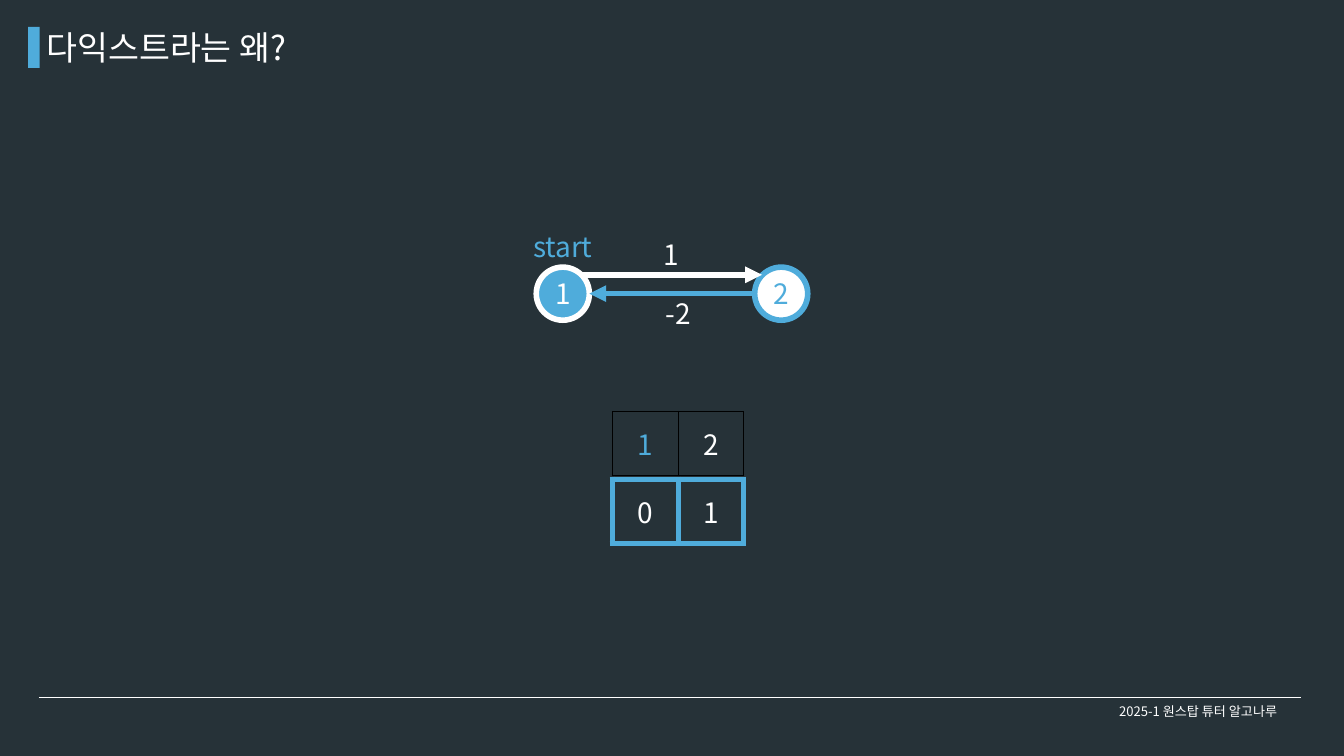
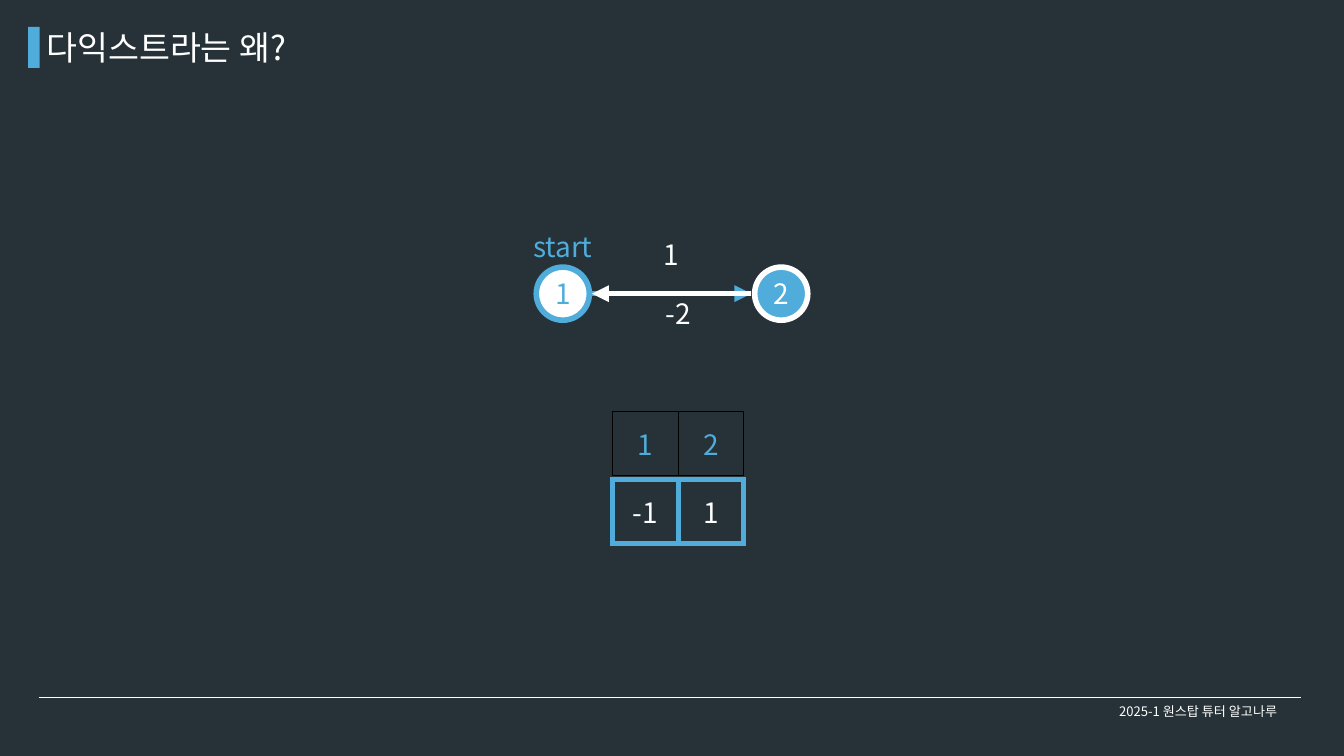
from dataclasses import dataclass

from lxml.etree import SubElement, fromstring
from pptx import Presentation
from pptx.dml.color import RGBColor as RGB
from pptx.enum.shapes import MSO_CONNECTOR as LINK, MSO_SHAPE as KIND
from pptx.enum.text import MSO_ANCHOR as ANCHOR, MSO_AUTO_SIZE as AUTO, PP_ALIGN as ALIGN
from pptx.oxml.ns import nsdecls, qn
from pptx.util import Inches, Pt


@dataclass(frozen=True)
class Theme:
    font: str = "Noto Sans CJK KR"
    back: str = "263238"
    blue: str = "4FACDB"
    white: str = "FFFFFF"
    black: str = "000000"
    title: int = 36
    body: int = 30
    foot: int = 14
    thick: float = 6
    thin: float = 0.75
    edge: float = 1
    pad: float = 0.05


T = Theme()

# Grid of square cells: 20 columns by 11.25 rows
COLS, ROWS = 20, 11.25
CELL = Inches(1)

# Graph: node size, left edge of each node, shared middle row
SIZE, LEFTS, MID = 0.79, (7.98, 11.23), 4.37
# Distance table: left edge, cell side, tops of the head and value rows
LEFT, SIDE, HEAD, VALUE = 9.11, 0.98, 6.12, 7.13
HIGH = 0.96


def grid(*nums):
    return [round(n * CELL) for n in nums]


# Text
def style(frame, text, size, color, align=ALIGN.LEFT):
    frame.text = text
    para = frame.paragraphs[0]
    para.alignment = align
    font = para.runs[0].font
    font.name, font.size = T.font, Pt(size)
    font.color.rgb = RGB.from_string(color)
    SubElement(font._element, qn("a:ea")).set("typeface", T.font)


def pad(obj):
    gap = round(T.pad * CELL)
    obj.margin_left = obj.margin_right = gap
    obj.margin_top = obj.margin_bottom = gap


def label(shapes, box, text, size, color, align=ALIGN.LEFT,
          anchor=ANCHOR.TOP, wrap=True):
    frame = shapes.add_textbox(*grid(*box)).text_frame
    pad(frame)
    frame.word_wrap = wrap
    frame.auto_size = AUTO.SHAPE_TO_FIT_TEXT
    frame.vertical_anchor = anchor
    style(frame, text, size, color, align)


# Shapes and lines
def solid(shapes, kind, box, fill, rim=None):
    shape = shapes.add_shape(kind, *grid(*box))
    shape.shadow.inherit = False
    shape.fill.solid()
    shape.fill.fore_color.rgb = RGB.from_string(fill)
    if rim:
        shape.line.color.rgb = RGB.from_string(rim)
        shape.line.width = Pt(T.thick)
    else:
        shape.line.fill.background()


def rule(shapes, start, end, row, color, width, arrow=False):
    link = shapes.add_connector(LINK.STRAIGHT, *grid(start, row, end, row))
    link.line.color.rgb = RGB.from_string(color)
    link.line.width = Pt(width)
    if arrow:
        SubElement(link.line._get_or_add_ln(), qn("a:tailEnd")).set("type", "triangle")
    SubElement(link._element.spPr, qn("a:effectLst"))


def node(shapes, left, text, fill, ink):
    group = shapes.add_group_shape().shapes
    solid(group, KIND.OVAL, (left, MID - SIZE / 2, SIZE, SIZE), fill, ink)
    wide, high = 0.38, 0.57
    label(group, (left + (SIZE - wide) / 2, MID - high / 2, wide, high),
          text, T.body, ink, ALIGN.CENTER, ANCHOR.MIDDLE)


# Tables
def border(cell, color, width):
    props = cell._tc.get_or_add_tcPr()
    for spot, side in enumerate("LRTB"):
        props.insert(spot, fromstring(
            f'<a:ln{side} {nsdecls("a")} w="{Pt(width)}"><a:solidFill>'
            f'<a:srgbClr val="{color}"/></a:solidFill></a:ln{side}>'))


def strip(shapes, top, texts, inks, edge, width):
    box = (LEFT, top, SIDE * len(texts), HIGH)
    table = shapes.add_table(1, len(texts), *grid(*box)).table
    table.first_row = table.horz_banding = False
    for cell, text, ink in zip(table.iter_cells(), texts, inks):
        pad(cell)
        cell.vertical_anchor = ANCHOR.MIDDLE
        cell.fill.background()
        border(cell, edge, width)
        style(cell.text_frame, text, T.body, ink, ALIGN.CENTER)


# Parts shared by the slides
def page(deck):
    slide = deck.slides.add_slide(deck.slide_layouts[6])
    fill = slide.background.fill
    fill.solid()
    fill.fore_color.rgb = RGB.from_string(T.back)
    shapes = slide.shapes
    rule(shapes, 0.58, 19.36, 10.38, T.white, T.thin)
    solid(shapes, KIND.RECTANGLE, (0.42, 0.4, 0.17, 0.61), T.blue)
    label(shapes, (15.88, 10.43, 3.9, 0.32), "2025-1 원스탑 튜터 알고나루",
          T.foot, T.white, ALIGN.CENTER, ANCHOR.MIDDLE)
    label(shapes, (0.64, 0.35, 9.4, 0.65), "다익스트라는 왜?", T.title, T.white)
    return shapes


def step(deck, active, inks, costs, arrows):
    """Draw one step: active node, head colours, costs and arrows."""
    shapes = page(deck)
    strip(shapes, VALUE, costs, [T.white] * 2, T.blue, T.thick)
    strip(shapes, HEAD, ("1", "2"), inks, T.black, T.edge)
    for spot, left in enumerate(LEFTS):
        fill, ink = (T.blue, T.white) if spot == active else (T.white, T.blue)
        node(shapes, left, str(spot + 1), fill, ink)
    for start, end, row, color in arrows:
        rule(shapes, start, end, row, color, T.thick, arrow=True)
    label(shapes, (9.82, 3.49, 0.37, 0.57), "1", T.body, T.white, wrap=False)
    label(shapes, (9.86, 4.36, 0.54, 0.57), "-2", T.body, T.white, wrap=False)
    label(shapes, (7.48, 3.37, 1.79, 0.57), "start", T.body, T.blue, ALIGN.CENTER)


def main():
    deck = Presentation()
    deck.slide_width, deck.slide_height = grid(COLS, ROWS)
    step(deck, 0, (T.blue, T.white), ("0", "1"),
         [(8.66, 11.34, 4.09, T.white), (11.23, 8.77, MID, T.blue)])
    step(deck, 1, (T.blue, T.blue), ("-1", "1"),
         [(8.81, 11.18, MID, T.blue), (11.18, 8.81, MID, T.white)])
    deck.save("out.pptx")


if __name__ == "__main__":
    main()
